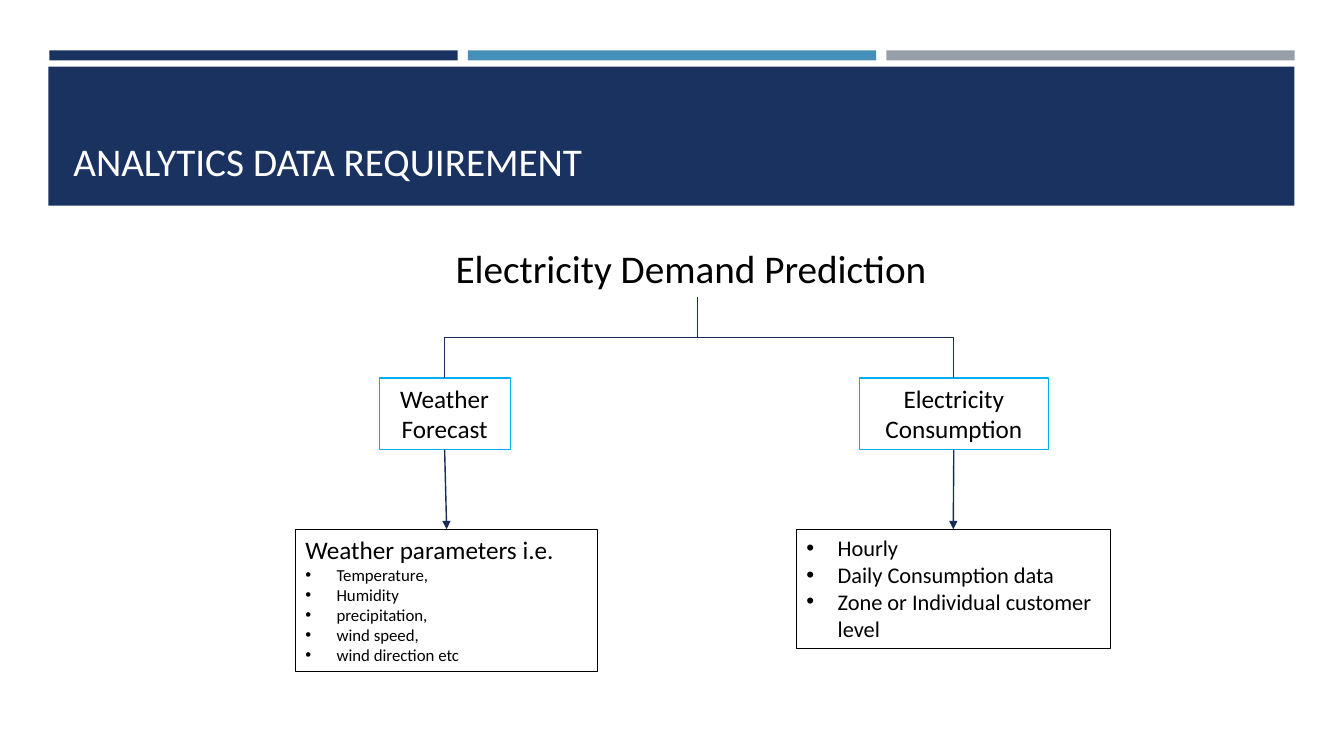
import pptx
import pptx.dml.color
import pptx.enum.shapes
import pptx.enum.text
import pptx.oxml.ns
import pptx.util
from lxml import etree
from pptx.util import Inches

FONT = "Calibri"
NAVY, BLUE, GRAY = "1A3260", "4590B8", "969FA7"
CYAN, BLACK, WHITE, LINK = "00B0F0", "000000", "FFFFFF", "172D56"

TITLE = "ANALYTICS DATA REQUIREMENT"
GOAL = "Electricity Demand Prediction"
# Each text line: (text, size, bulleted)
BRANCHES = [
    {
        "source": [("Weather", 18, False), ("Forecast", 18, False)],
        "source_at": (3.76, 3.75, 1.3, 0.71),
        "data": [("Weather parameters i.e.", 18, False)] + [
            (parameter, 12, True) for parameter in
            ("Temperature,", "Humidity", "precipitation,", "wind speed,", "wind direction etc")],
        "data_at": (2.93, 5.25, 3, 1.41),
    },
    {
        "source": [("Electricity Consumption", 18, False)],
        "source_at": (8.52, 3.75, 1.88, 0.71),
        "data": [(level, 16, True) for level in
                 ("Hourly", "Daily Consumption data", "Zone or Individual customer level")],
        "data_at": (7.9, 5.25, 3.11, 1.18),
    },
]
STRIPES = [NAVY, BLUE, GRAY]
STRIPE_LEFT, STRIPE_WIDTH, STRIPE_STEP = 0.49, 4.05, 4.15
FORK = (6.92, 2.95)

ALIGN = pptx.enum.text.PP_ALIGN
ANCHOR = pptx.enum.text.MSO_ANCHOR
CONNECTOR = pptx.enum.shapes.MSO_CONNECTOR


def color(hex_code):
    return pptx.dml.color.RGBColor.from_string(hex_code)


def add_child(parent, tag, **attributes):
    child = etree.SubElement(parent, pptx.oxml.ns.qn(tag))
    for name, value in attributes.items():
        child.set(name, value)
    return child


def write(shape, lines, ink=BLACK, align=ALIGN.LEFT, anchor=ANCHOR.TOP):
    frame = shape.text_frame
    frame.word_wrap = True
    frame.vertical_anchor = anchor
    frame.text = "\n".join(text for text, _, _ in lines)
    for paragraph, (_, size, bulleted) in zip(frame.paragraphs, lines):
        paragraph.alignment = align
        font = paragraph.runs[0].font
        font.name, font.size = FONT, pptx.util.Pt(size)
        font.color.rgb = color(ink)
        if bulleted:
            properties = paragraph._p.get_or_add_pPr()
            properties.set("marL", str(Inches(0.31)))
            properties.set("indent", str(-Inches(0.31)))
            add_child(properties, "a:buFont", typeface="Arial")
            add_child(properties, "a:buChar", char="•")


def add_box(slide, at, fill=None, outline=None):
    box = slide.shapes.add_shape(
        pptx.enum.shapes.MSO_SHAPE.RECTANGLE, *map(Inches, at))
    box.shadow.inherit = False
    if fill:
        box.fill.solid()
        box.fill.fore_color.rgb = color(fill)
    else:
        box.fill.background()
    if outline:
        box.line.color.rgb = color(outline)
        box.line.width = pptx.util.Pt(0.75)
    else:
        box.line.fill.background()
    return box


def add_label(slide, at, text, **style):
    label = slide.shapes.add_textbox(*map(Inches, at))
    write(label, [(text, 28, False)], **style)


def add_link(slide, kind, *ends):
    link = slide.shapes.add_connector(kind, *ends)
    link.line.color.rgb = color(LINK)
    link.line.width = pptx.util.Pt(1)
    add_child(link._element.spPr, "a:effectLst")
    return link


def add_arrow(slide, source, data):
    arrow = add_link(slide, CONNECTOR.STRAIGHT, 0, 0, 0, 0)
    arrow.begin_connect(source, 2)
    arrow.end_connect(data, 0)
    add_child(arrow.line._get_or_add_ln(), "a:tailEnd", type="triangle")


def add_fork_arm(slide, x, y):
    """Elbow from the fork down to (x, y), turned so that it leaves vertically."""
    fork_x, fork_y = FORK
    middle_x, middle_y = (fork_x + x) / 2, (fork_y + y) / 2
    half_drop, half_reach = (y - fork_y) / 2, abs(x - fork_x) / 2
    side = 1 if x < fork_x else -1
    arm = add_link(
        slide, CONNECTOR.ELBOW,
        Inches(middle_x - side * half_drop), Inches(middle_y - half_reach),
        Inches(middle_x + side * half_drop), Inches(middle_y + half_reach))
    quarter_turn = 90 if side == 1 else 270
    arm._element.spPr.xfrm.set("rot", str(quarter_turn * 60000))


def main():
    deck = pptx.Presentation()
    deck.slide_width, deck.slide_height = Inches(13.33), Inches(7.5)
    slide = deck.slides.add_slide(deck.slide_layouts[6])

    for index, stripe in enumerate(STRIPES):
        left = STRIPE_LEFT + index * STRIPE_STEP
        add_box(slide, (left, 0.5, STRIPE_WIDTH, 0.1), fill=stripe)
    add_box(slide, (0.48, 0.66, 12.36, 1.38), fill=NAVY)
    add_label(slide, (0.63, 0.8, 12.06, 1.08), TITLE, ink=WHITE, anchor=ANCHOR.BOTTOM)
    add_label(slide, (4.42, 2.37, 4.99, 0.57), GOAL)

    for branch in BRANCHES:
        source = add_box(slide, branch["source_at"], outline=CYAN)
        write(source, branch["source"], align=ALIGN.CENTER)
        data = add_box(slide, branch["data_at"], outline=BLACK)
        write(data, branch["data"])
        add_arrow(slide, source, data)
        left, top, width, _ = branch["source_at"]
        add_fork_arm(slide, left + width / 2, top)

    deck.save("out.pptx")


if __name__ == "__main__":
    main()
